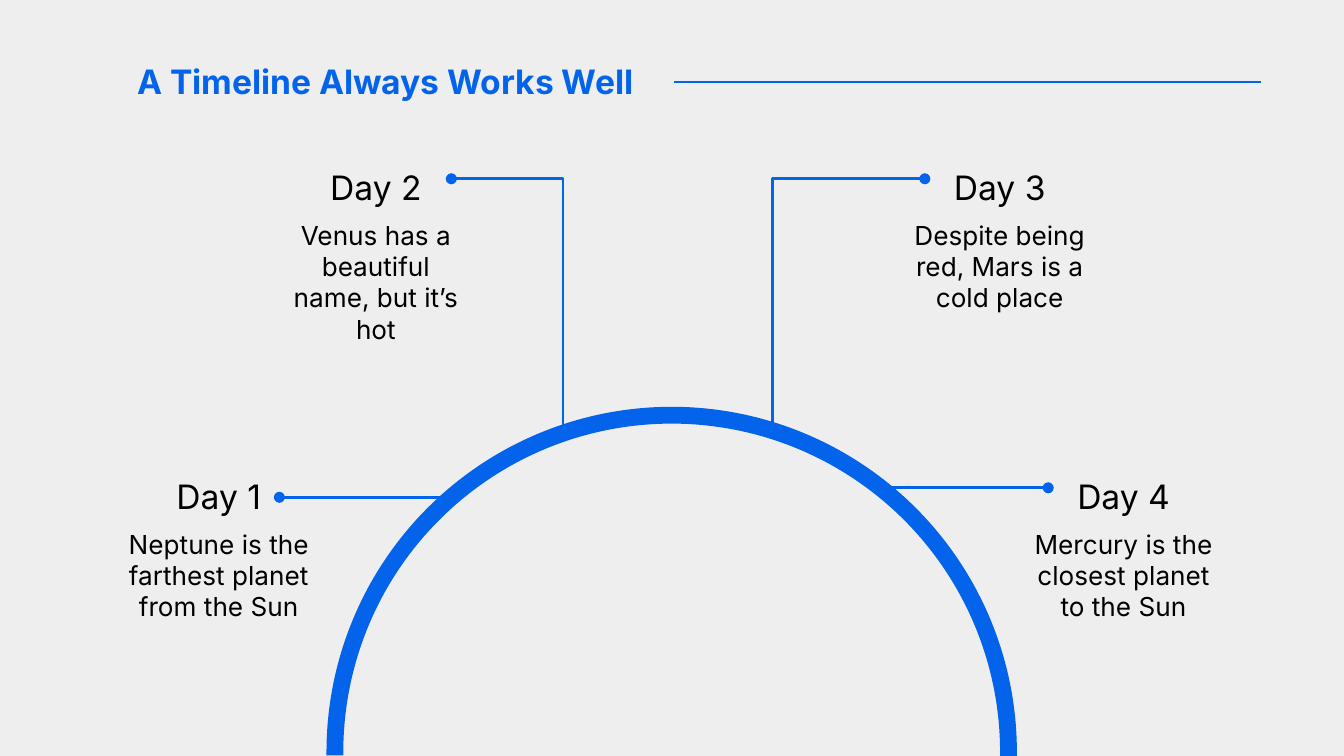
from lxml import etree
from pptx import Presentation
from pptx.dml.color import RGBColor
from pptx.enum.shapes import MSO_CONNECTOR, MSO_SHAPE
from pptx.enum.text import MSO_ANCHOR, MSO_AUTO_SIZE, PP_ALIGN
from pptx.oxml.ns import qn
from pptx.util import Cm, Pt

STRAIGHT, ELBOW = MSO_CONNECTOR.STRAIGHT, MSO_CONNECTOR.ELBOW
ARC = MSO_SHAPE.ARC
TOP, MIDDLE = MSO_ANCHOR.TOP, MSO_ANCHOR.MIDDLE
LEFT, CENTER = PP_ALIGN.LEFT, PP_ALIGN.CENTER
NO_AUTOFIT = MSO_AUTO_SIZE.NONE

BLUE = RGBColor(0x03, 0x63, 0xEB)
BLACK = RGBColor(0x00, 0x00, 0x00)
PALE_GRAY = RGBColor(0xEE, 0xEE, 0xEE)
FONT = "Inter"

TITLE = "A Timeline Always Works Well"
DAYS = [
    {"name": "Day 1", "note": "Neptune is the farthest planet from the Sun",
     "corner": (2.08, 8.74), "dot": (5.28, 9.4), "end": (8.69, 9.4)},
    {"name": "Day 2", "note": "Venus has a beautiful name, but it’s hot",
     "corner": (5.05, 2.9), "dot": (8.53, 3.38), "end": (10.64, 8.05)},
    {"name": "Day 3", "note": "Despite being red, Mars is a cold place",
     "corner": (16.84, 2.9), "dot": (17.48, 3.38), "end": (14.6, 8.15)},
    {"name": "Day 4", "note": "Mercury is the closest planet to the Sun",
     "corner": (19.18, 8.74), "dot": (19.81, 9.22), "end": (16.76, 9.22)},
]
NAME_WIDTH, NAME_HEIGHT = 2.87, 0.99
NOTE_WIDTH, NOTE_HEIGHT = 4.11, 2.18


def write(box, text, size, color, inset, align=CENTER, anchor=TOP, bold=False):
    frame = box.text_frame
    frame.word_wrap = True
    frame.auto_size = NO_AUTOFIT
    frame.vertical_anchor = anchor
    frame.margin_left = frame.margin_right = Cm(inset)
    frame.margin_top = frame.margin_bottom = Cm(inset)
    para = frame.paragraphs[0]
    para.alignment = align
    span = para.add_run()
    span.text = text
    span.font.name = FONT
    span.font.size = Pt(size)
    span.font.bold = bold
    span.font.color.rgb = color


def add_label(slide, text, size, left, top, width, height):
    box = slide.shapes.add_textbox(Cm(left), Cm(top), Cm(width), Cm(height))
    write(box, text, size, BLACK, 0.25)


def add_line(slide, start, end, width, dotted=False):
    bent = start[0] != end[0] and start[1] != end[1]
    line = slide.shapes.add_connector(
        ELBOW if bent else STRAIGHT, *map(Cm, start + end))
    line.line.color.rgb = BLUE
    line.line.width = Pt(width)
    properties = line._element.spPr
    if bent:
        properties.find(qn("a:prstGeom")).set("prst", "bentConnector2")
    if dotted:
        etree.SubElement(line.line._get_or_add_ln(), qn("a:headEnd"), type="oval")
    etree.SubElement(properties, qn("a:effectLst"))


def add_title(slide):
    title = slide.shapes.title
    title.left, title.top = Cm(1.96), Cm(0.71)
    title.width, title.height = Cm(10.77), Cm(1.65)
    write(title, TITLE, 18, BLUE, 0.63, LEFT, MIDDLE, True)
    add_line(slide, (12.73, 1.55), (23.83, 1.55), 0.75)


def add_orbit(slide):
    orbit = slide.shapes.add_shape(ARC, Cm(6.33), Cm(7.85), Cm(12.73), Cm(12.73))
    orbit.adjustments[0] = 107.64
    orbit.adjustments[1] = 0.59
    orbit.shadow.inherit = False
    orbit.fill.background()
    orbit.line.color.rgb = BLUE
    orbit.line.width = Pt(9)


def add_day(slide, day):
    left, top = day["corner"]
    name_left = left + (NOTE_WIDTH - NAME_WIDTH) / 2
    add_label(slide, day["name"], 18, name_left, top, NAME_WIDTH, NAME_HEIGHT)
    add_label(slide, day["note"], 14, left, top + NAME_HEIGHT, NOTE_WIDTH, NOTE_HEIGHT)
    add_line(slide, day["dot"], day["end"], 1.5, dotted=True)


def main():
    deck = Presentation()
    deck.slide_width, deck.slide_height = Cm(25.4), Cm(14.29)
    slide = deck.slides.add_slide(deck.slide_layouts[5])
    slide.background.fill.solid()
    slide.background.fill.fore_color.rgb = PALE_GRAY
    add_title(slide)
    add_orbit(slide)
    for day in DAYS:
        add_day(slide, day)
    deck.save("out.pptx")


if __name__ == "__main__":
    main()
